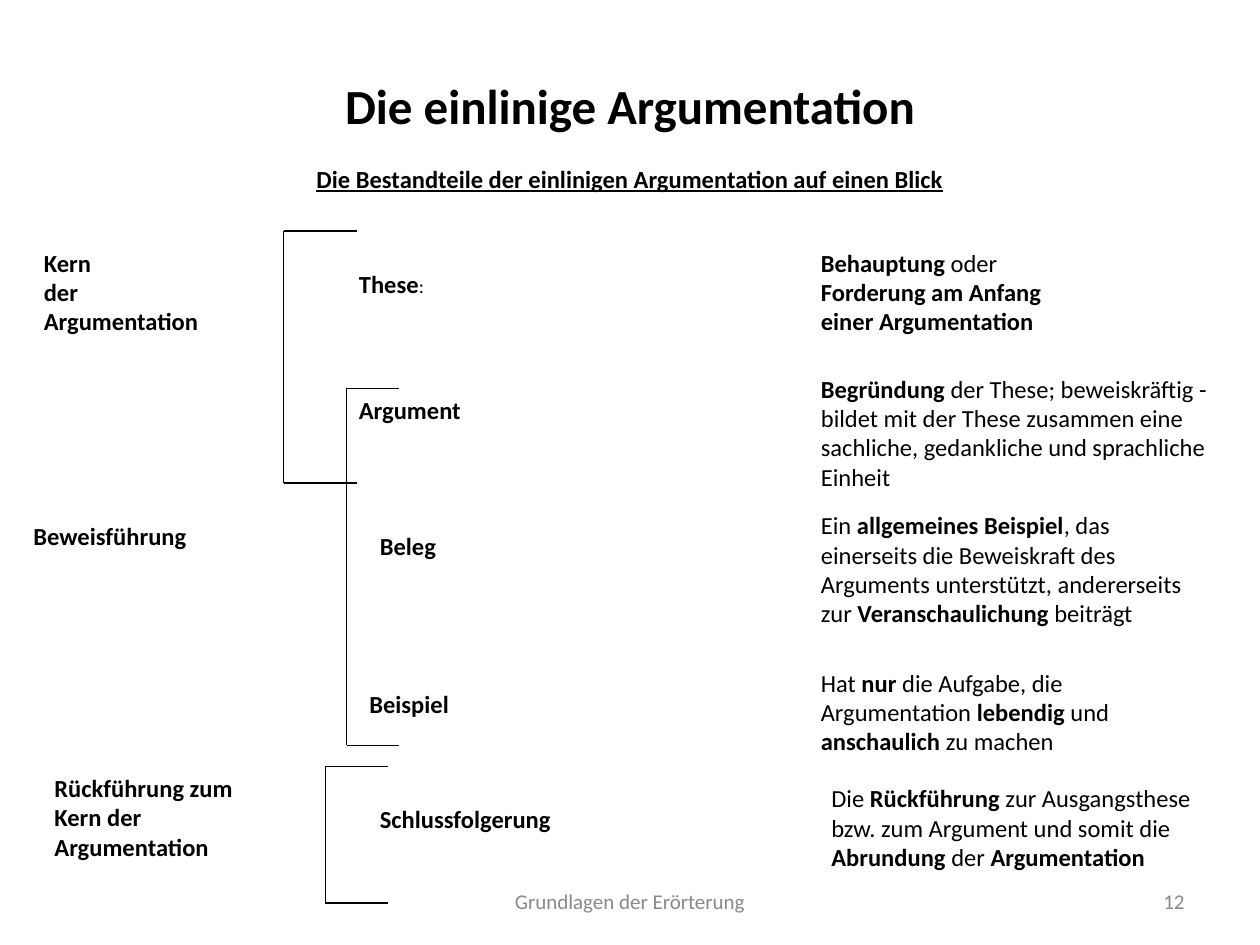
from dataclasses import dataclass

from lxml.etree import SubElement
from pptx import Presentation
from pptx.dml.color import RGBColor
from pptx.enum.shapes import MSO_CONNECTOR
from pptx.enum.text import MSO_ANCHOR, PP_ALIGN
from pptx.oxml.ns import qn
from pptx.util import Pt


@dataclass
class Label:
    text: str  # asterisks switch bold on and off
    left: float
    top: float
    width: float
    height: float
    size: float = 14
    color: str = "000000"
    align: PP_ALIGN = PP_ALIGN.LEFT
    anchor: MSO_ANCHOR = MSO_ANCHOR.TOP
    underline: bool = False


@dataclass
class Bracket:
    left: float
    top: float
    right: float
    bottom: float


def hex_color(value: str) -> RGBColor:
    return RGBColor.from_string(value)


def apply_format(target, values: dict) -> None:
    for name, value in values.items():
        setattr(target, name, value)


def draw_label(slide, label: Label):
    box = slide.shapes.add_textbox(
        Pt(label.left), Pt(label.top), Pt(label.width), Pt(label.height))
    frame = box.text_frame
    apply_format(frame, {"word_wrap": True, "vertical_anchor": label.anchor})
    paragraph = frame.paragraphs[0]
    paragraph.alignment = label.align
    for part_index, part in enumerate(label.text.split("*")):
        for line_index, line in enumerate(part.split("\n")):
            if line_index:
                paragraph.add_line_break()
            if not line:
                continue
            run = paragraph.add_run()
            run.text = line
            apply_format(run.font, {
                "name": "Calibri", "size": Pt(label.size),
                "bold": part_index % 2 == 1, "underline": label.underline})
            run.font.color.rgb = hex_color(label.color)
    return paragraph


def draw_line(slide, x1: float, y1: float, x2: float, y2: float) -> None:
    line = slide.shapes.add_connector(
        MSO_CONNECTOR.STRAIGHT, Pt(x1), Pt(y1), Pt(x2), Pt(y2))
    line.line.width = Pt(0.74)
    line.line.color.rgb = hex_color("000000")
    SubElement(line._element.spPr, qn("a:effectLst"))


def draw_bracket(slide, bracket: Bracket) -> None:
    draw_line(slide, bracket.left, bracket.top, bracket.left, bracket.bottom)
    for y in (bracket.top, bracket.bottom):
        draw_line(slide, bracket.left, y, bracket.right, y)


ONE_LINE, THREE_LINES, FOUR_LINES = 24.5, 57.6, 75
GREY = "898989"
CENTER, MIDDLE = PP_ALIGN.CENTER, MSO_ANCHOR.MIDDLE

HEADINGS = [
    Label("*Die einlinige Argumentation*", 54, 24, 612, 72, size=28,
          align=CENTER, anchor=MIDDLE),
    Label("*Die Bestandteile der einlinigen Argumentation auf einen Blick*",
          126, 90, 468, THREE_LINES, align=CENTER, underline=True),
]
STAGES = [
    Label("*Kern \nder \nArgumentation*", 18, 138, 108, THREE_LINES),
    Label("*Beweisführung*", 12, 294, 126, ONE_LINE),
    Label("*Rückführung zum Kern der Argumentation*", 24, 438, 126, THREE_LINES),
]
THESIS = Label("*These*:", 198, 150, 54, ONE_LINE)
PARTS = [
    Label("*Argument*", 198, 222, 78, ONE_LINE),
    Label("*Beleg*", 210, 300, 54, ONE_LINE),
    Label("*Beispiel*", 204, 390, 72, ONE_LINE),
    Label("*Schlussfolgerung*", 210, 456, 120, ONE_LINE),
]
EXPLANATIONS = [
    Label("*Behauptung* oder *Forderung am Anfang einer Argumentation*",
          462, 138, 162, THREE_LINES),
    Label("*Begründung* der These; beweiskräftig - bildet mit der These "
          "zusammen eine sachliche, gedankliche und sprachliche Einheit",
          462, 210, 240, FOUR_LINES),
    Label("Ein *allgemeines Beispiel*, das einerseits die Beweiskraft des "
          "Arguments unterstützt, andererseits zur *Veranschaulichung* beiträgt",
          462, 288, 234, FOUR_LINES),
    Label("Hat *nur* die Aufgabe, die Argumentation *lebendig* und "
          "*anschaulich* zu machen", 462, 378, 180, THREE_LINES),
    Label("Die *Rückführung* zur Ausgangsthese bzw. zum Argument und somit die "
          "*Abrundung* der *Argumentation*", 468, 444, 222, THREE_LINES),
]
FOOTER = [
    Label("Grundlagen der Erörterung", 246, 500.5, 228, 28.8, size=12,
          color=GREY, align=CENTER, anchor=MIDDLE),
    Label("12", 516, 500.5, 168, 28.8, size=12, color=GREY,
          align=PP_ALIGN.RIGHT, anchor=MIDDLE),
]
BRACKETS = [
    Bracket(162, 132, 204, 276),
    Bracket(198, 222, 228, 426),
    Bracket(186, 438, 222, 516),
]

presentation = Presentation()
apply_format(presentation, {"slide_width": Pt(720), "slide_height": Pt(540)})
slide = presentation.slides.add_slide(presentation.slide_layouts[6])

# Texts
for label in FOOTER + HEADINGS + STAGES + PARTS + EXPLANATIONS:
    draw_label(slide, label)

# Thesis with its smaller colon
draw_label(slide, THESIS).runs[-1].font.size = Pt(11)

# Brackets that group the parts
for bracket in BRACKETS:
    draw_bracket(slide, bracket)

presentation.save("out.pptx")
